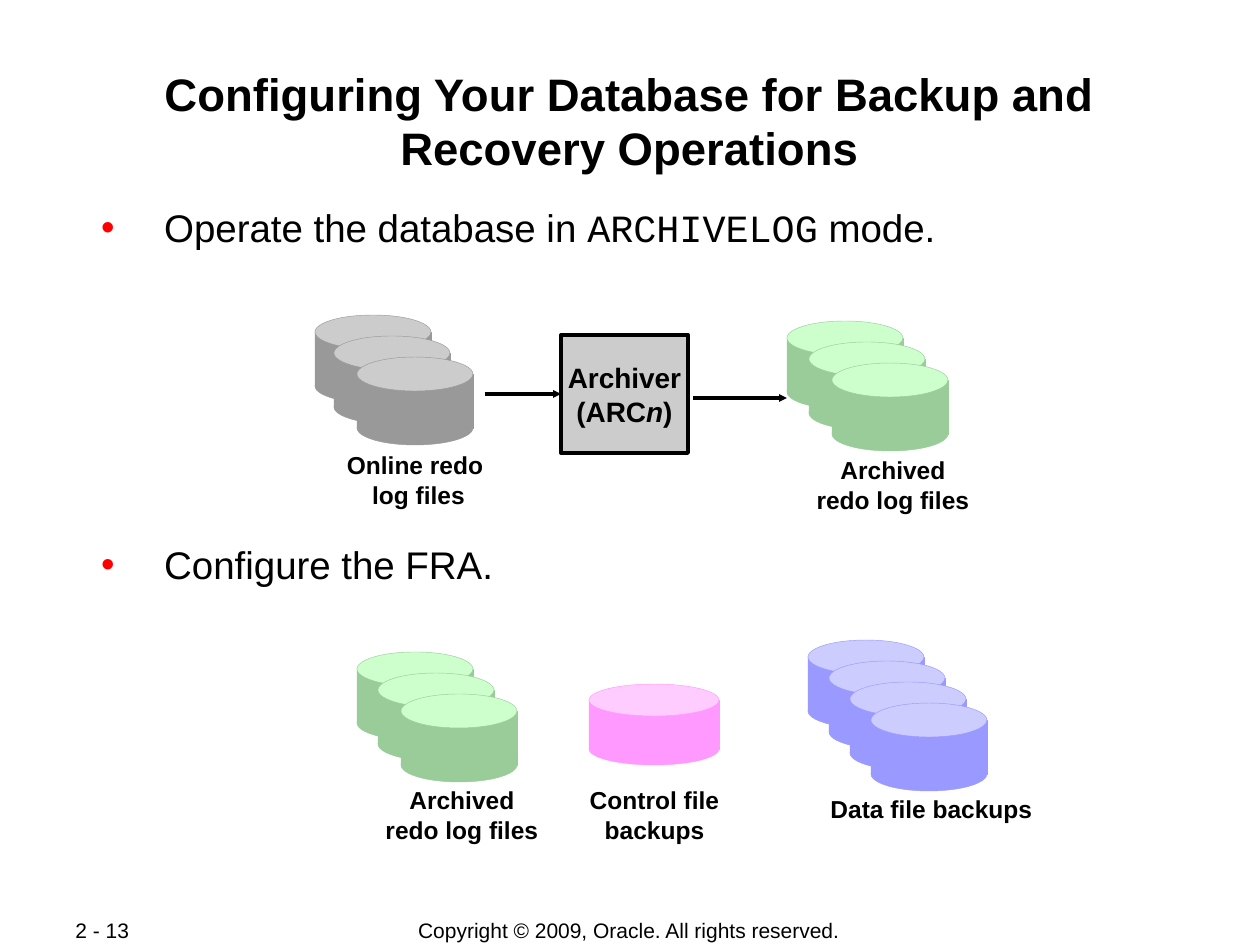
"""Build the slide on configuring a database for backup and recovery."""
from dataclasses import dataclass

from lxml import etree
from pptx import Presentation
from pptx import util as u
from pptx.dml.color import RGBColor
from pptx.enum import shapes, text
from pptx.oxml import ns


@dataclass(frozen=True)
class Theme:
    font: str = "Arial"
    mono: str = "Courier New"
    ink: str = "000000"
    dot: str = "FF0000"
    gray: tuple = ("999999", "CCCCCC")
    green: tuple = ("99CC99", "CCFFCC")
    pink: tuple = ("FF99FF", "FFCCFF")
    blue: tuple = ("9999FF", "CCCCFF")
    title: int = 26
    body: int = 22
    box: int = 16
    label: int = 14
    foot: int = 12


T = Theme()
PX = 914400 / 126
WIDE, HIGH = 1260, 945
DROP = 21

TITLE = "Configuring Your Database for Backup and Recovery Operations"
POINTS = [
    (0, [("Operate the database in ", T.font), ("ARCHIVELOG", T.mono), (" mode.", T.font)]),
    (166, [("Configure the FRA.", T.font)]),
]
DISK, WIDER = (116, 54, 34), (130, 49, 32)
STACKS = [
    ((315, 334, 357), 315, DISK, T.gray),
    ((787, 809, 832), 321, DISK, T.green),
    ((357, 378, 401), 652, DISK, T.green),
    ((589,), 684, WIDER, T.pink),
    ((808, 829, 850, 871), 640, DISK, T.blue),
]
LABELS = [
    ((334, 444, 169, 72), ["Online redo ", "log files"]),
    ((804, 449, 178, 72), ["Archived", "redo log files"]),
    ((373, 779, 178, 72), ["Archived", "redo log files"]),
    ((577, 779, 155, 72), ["Control file", "backups"]),
    ((818, 788, 227, 43), ["Data file backups"]),
]
ARCHIVER = (561, 335, 127, 118)
ARROWS = [(485, 394, 561, 394), (693, 398, 787, 398)]
FEET = [
    ((346, 917, 566, 27), "Copyright © 2009, Oracle. All rights reserved.", text.PP_ALIGN.CENTER),
    ((63, 917, 134, 27), "2 - 13", text.PP_ALIGN.LEFT),
]


def emu(*nums):
    return [round(n * PX) for n in nums]


def rgb(code):
    return RGBColor.from_string(code)


def style(para, size, bold=False, align=None):
    para.alignment = align
    font = para.font
    font.name, font.size, font.bold = T.font, u.Pt(size), bold
    font.color.rgb = rgb(T.ink)


def frame(shape, inset, wrap, anchor=text.MSO_ANCHOR.TOP):
    tf = shape.text_frame
    tf.word_wrap, tf.vertical_anchor = wrap, anchor
    tf.margin_left = tf.margin_right = u.Inches(inset[0])
    tf.margin_top = tf.margin_bottom = u.Inches(inset[1])
    return tf


def lines(tf, rows, size, bold=False, align=text.PP_ALIGN.CENTER):
    for i, row in enumerate(rows):
        para = tf.add_paragraph() if i else tf.paragraphs[0]
        para.add_run().text = row
        style(para, size, bold, align)


def solid(home, kind, at, fill, line, width):
    part = home.add_shape(kind, *emu(*at))
    part.shadow.inherit = False
    part.fill.solid()
    part.fill.fore_color.rgb = rgb(fill)
    part.line.color.rgb = rgb(line)
    part.line.width = u.Pt(width)
    return part


def stack(home, lefts, top, size, tones):
    wide, body, cap = size
    dark, light = tones
    group = home.add_group_shape().shapes
    rect, oval = shapes.MSO_SHAPE.RECTANGLE, shapes.MSO_SHAPE.OVAL
    for i, x in enumerate(lefts):
        y = top + i * DROP
        for kind, dy, tall, fill in (
            (rect, cap / 2, body, dark),
            (oval, 0, cap, light),
            (oval, body, cap, dark),
        ):
            solid(group, kind, (x, y + dy, wide, tall), fill, dark, 0.25)


def arrow(home, ends):
    line = home.add_connector(shapes.MSO_CONNECTOR.STRAIGHT, *emu(*ends))
    line.line.color.rgb = rgb(T.ink)
    line.line.width = u.Pt(2.25)
    etree.SubElement(line.line._get_or_add_ln(), ns.qn("a:tailEnd"), type="triangle", w="sm", len="sm")
    etree.SubElement(line._element.spPr, ns.qn("a:effectLst"))
    return line


def bullet(para):
    props = para._p.get_or_add_pPr()
    left, back = emu(79, -63)
    props.set("marL", str(left))
    props.set("indent", str(back))
    tint = etree.SubElement(props, ns.qn("a:buClr"))
    etree.SubElement(tint, ns.qn("a:srgbClr"), val=T.dot)
    etree.SubElement(props, ns.qn("a:buFont"), typeface=T.font)
    etree.SubElement(props, ns.qn("a:buChar"), char="•")


def main():
    deck = Presentation()
    deck.slide_width, deck.slide_height = emu(WIDE, HIGH)
    slide = deck.slides.add_slide(deck.slide_layouts[5])
    home = slide.shapes

    head = home.title
    head.left, head.top, head.width, head.height = emu(84, 60, 1091, 121)
    lines(frame(head, (0.01, 0.01), True, text.MSO_ANCHOR.MIDDLE), [TITLE], T.title, True)

    tf = frame(home.add_textbox(*emu(84, 203, 1091, 384)), (0.01, 0.01), True)
    for i, (gap, runs) in enumerate(POINTS):
        para = tf.add_paragraph() if i else tf.paragraphs[0]
        if gap:
            para.space_before = u.Pt(gap)
        bullet(para)
        style(para, T.body)
        for words, face in runs:
            run = para.add_run()
            run.text = words
            if face != T.font:
                run.font.name = face

    for item in STACKS:
        stack(home, *item)

    box = solid(home, shapes.MSO_SHAPE.RECTANGLE, ARCHIVER, T.gray[1], T.ink, 2.25)
    tf = frame(box, (0.05, 0.05), False, text.MSO_ANCHOR.MIDDLE)
    lines(tf, ["Archiver", "(ARC"], T.box, True)
    for words, slant in (("n", True), (")", False)):
        run = tf.paragraphs[1].add_run()
        run.text, run.font.italic = words, slant

    inward, _ = [arrow(home, ends) for ends in ARROWS]
    inward.end_connect(box, 1)

    for at, rows in LABELS:
        lines(frame(home.add_textbox(*emu(*at)), (0.1, 0.05), False), rows, T.label, True)
    for at, words, align in FEET:
        tf = frame(home.add_textbox(*emu(*at)), (0.1, 0.05), False, text.MSO_ANCHOR.MIDDLE)
        lines(tf, [words], T.foot, align=align)

    deck.save("out.pptx")


if __name__ == "__main__":
    main()
